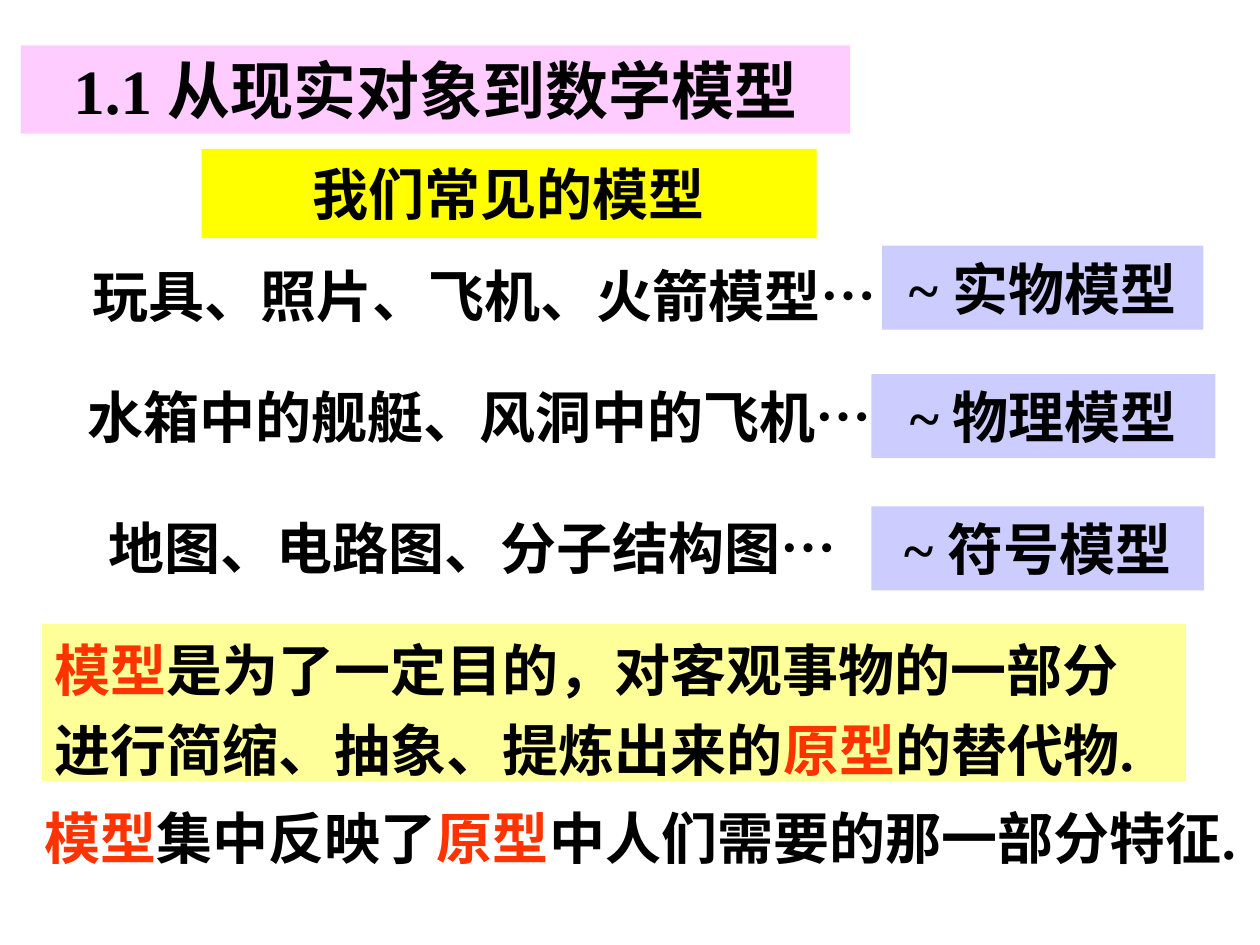
from lxml import etree
from pptx import Presentation
from pptx.dml.color import RGBColor
from pptx.enum import shapes, text
from pptx.oxml.ns import qn
from pptx.util import Pt

LATIN, CHINESE = "Times New Roman", "Noto Sans CJK SC"
BLACK, RED = "000000", "FF3300"
LILAC, PINK, YELLOW, CREAM = "CCCCFF", "FFCCFF", "FFFF00", "FFFF99"
CENTER, LEFT = text.PP_ALIGN.CENTER, text.PP_ALIGN.LEFT


def color(value):
    return RGBColor.from_string(value)


def add_box(page, place, lines, fill=None, size=32, align=CENTER, spacing=None):
    """Add a box; each line is a list of words, and a word starting with * is red."""
    place = [Pt(length) for length in place]
    if fill:
        box = page.shapes.add_shape(shapes.MSO_SHAPE.RECTANGLE, *place)
        box.shadow.inherit = False
        box.fill.solid()
        box.fill.fore_color.rgb = color(fill)
        box.line.fill.background()
    else:
        box = page.shapes.add_textbox(*place)
    frame = box.text_frame
    frame.word_wrap = False
    frame.vertical_anchor = text.MSO_ANCHOR.MIDDLE
    frame.text = "\n".join("" for _ in lines)
    for para, words in zip(frame.paragraphs, lines):
        para.alignment = align
        para.line_spacing = spacing
        for word in words:
            span = para.add_run()
            span.text = word.lstrip("*")
            span.font.size = Pt(size)
            span.font.bold = True
            span.font.name = LATIN
            span.font.color.rgb = color(RED if word.startswith("*") else BLACK)
            east_asian = etree.SubElement(span.font._element, qn("a:ea"))
            east_asian.set("typeface", CHINESE)
    return box


deck = Presentation()
deck.slide_width, deck.slide_height = Pt(720), Pt(540)
page = deck.slides.add_slide(deck.slide_layouts[6])

# Examples on the left, the kind of model on the right
examples = [
    ("玩具、照片、飞机、火箭模型…", (0, 141.8, 517.7, 54),
     "~ 实物模型", (504, 140.4, 183.6, 48)),
    ("水箱中的舰艇、风洞中的飞机…", (12, 211, 524.2, 54),
     "~ 物理模型", (498, 213.8, 196.6, 48)),
    ("地图、电路图、分子结构图…", (18, 288.7, 504.7, 48),
     "~ 符号模型", (498, 289.4, 190, 48)),
]
example_boxes = []
for example, example_place, kind, kind_place in examples:
    example_boxes.append(add_box(page, example_place, [[example]]))
    add_box(page, kind_place, [[kind]], LILAC)

first_para = example_boxes[0].text_frame.paragraphs[0]
first_para._p.get_or_add_pPr().set("marL", str(Pt(36)))

definition = [
    ["*模型", "是为了一定目的，对客观事物的一部分"],
    ["进行简缩、抽象、提炼出来的", "*原型", "的替代物."],
]
add_box(page, (24, 356.4, 653.8, 90), definition, CREAM, align=LEFT, spacing=1.2)

summary = ["*模型", "集中反映了", "*原型", "中人们需要的那一部分特征."]
add_box(page, (18, 451.4, 687.6, 54), [summary])

add_box(page, (12, 26, 473.8, 50.4), [["1.1 ", "从现实对象到数学模型"]], PINK, size=36)
add_box(page, (115.2, 85, 351.4, 51.1), [["我们常见的模型"]], YELLOW)

deck.save("out.pptx")
